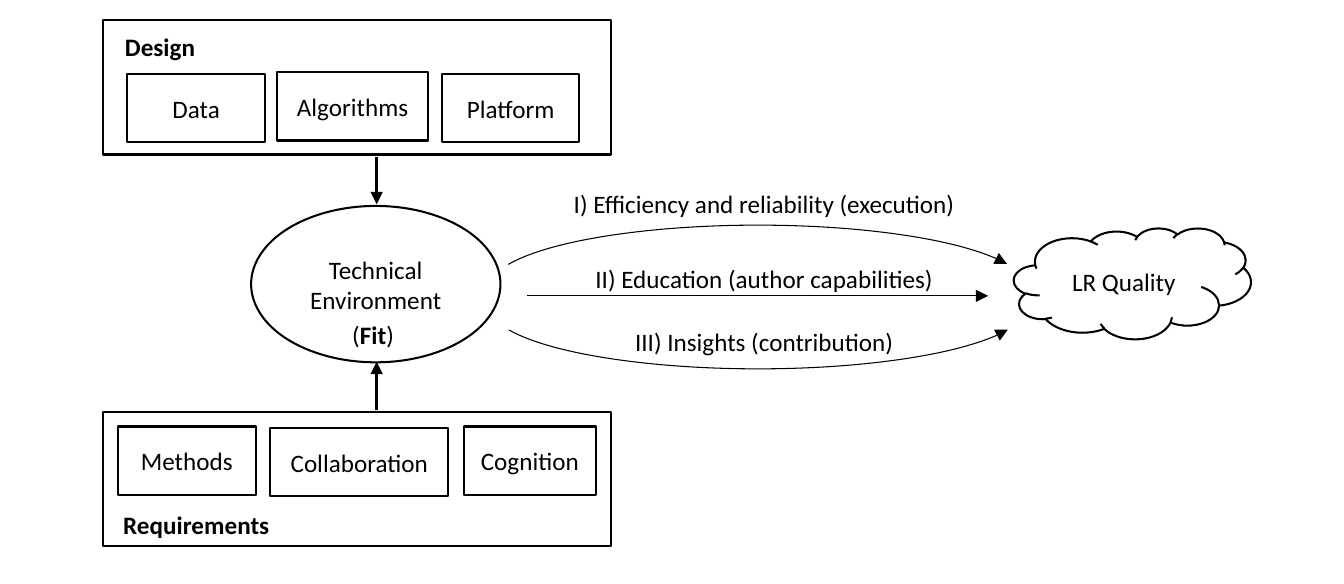
from dataclasses import dataclass

from lxml.etree import SubElement
from pptx import Presentation
from pptx.dml.color import RGBColor
from pptx.enum.shapes import MSO_CONNECTOR, MSO_SHAPE
from pptx.enum.text import MSO_ANCHOR, PP_ALIGN
from pptx.oxml.ns import qn
from pptx.util import Cm, Pt

BLACK = RGBColor(0, 0, 0)
WHITE = RGBColor(255, 255, 255)
FONT_FORMAT = {"name": "Calibri", "size": Pt(12.2)}
FRAME_FORMAT = {"word_wrap": True, "vertical_anchor": MSO_ANCHOR.MIDDLE}
CENTRED_MARGINS = {"margin_left": Cm(0.1), "margin_right": Cm(0.1)}

CM_PER_INCH = 2.54
PAGE_FORMAT = {
    "slide_width": Cm(9.06 * CM_PER_INCH),
    "slide_height": Cm(3.94 * CM_PER_INCH),
}
LABEL_HEIGHT = 0.79
BOX_HEIGHT = 1.17
PANEL_LEFT, PANEL_WIDTH, PANEL_HEIGHT = 1.77, 8.7, 2.3
PATH_LEFT, PATH_WIDTH = 8.9, 8.38
ARC_LEFT, ARC_WIDTH, ARC_HEIGHT = 8.38, 9.2, 2.13
ARC_DEGREES = (185.24, 354.65)
FIT_AXIS = 6.45


@dataclass(frozen=True)
class Node:
    left: float
    top: float
    width: float
    height: float = BOX_HEIGHT
    text: str = ""
    preset: MSO_SHAPE = MSO_SHAPE.RECTANGLE


@dataclass(frozen=True)
class Label:
    left: float
    top: float
    width: float
    runs: tuple[tuple[str, bool], ...]
    align: PP_ALIGN = PP_ALIGN.CENTER


@dataclass(frozen=True)
class Arrow:
    start: tuple[float, float]
    end: tuple[float, float]
    weight: float


@dataclass(frozen=True)
class Arc:
    top: float
    rotation: int
    arrow_end: str


OUTCOME_NODES = (
    Node(17.36, 3.91, 4.06, 1.9, "LR Quality", MSO_SHAPE.CLOUD),
    Node(4.3, 3.53, 4.27, 2.68, "Technical Environment", MSO_SHAPE.OVAL),
)
PANELS = tuple(Node(PANEL_LEFT, top, PANEL_WIDTH, PANEL_HEIGHT) for top in (0.35, 7.06))
BOXES = (
    Node(2.18, 1.27, 2.36, text="Data"),
    Node(4.75, 1.24, 2.58, text="Algorithms"),
    Node(7.57, 1.27, 2.35, text="Platform"),
    Node(2.02, 7.31, 2.36, text="Methods"),
    Node(4.63, 7.34, 3.05, text="Collaboration"),
    Node(7.95, 7.31, 2.25, text="Cognition"),
)
ARCS = (Arc(3.86, 0, "tailEnd"), Arc(4.19, 180, "headEnd"))
ARROWS = (
    Arrow((9.02, 5.07), (16.92, 5.07), 0.5),
    Arrow((FIT_AXIS, 2.69), (FIT_AXIS, 3.5), 1.5),
    Arrow((FIT_AXIS, 7.03), (FIT_AXIS, 6.2), 1.5),
)
LABELS = (
    Label(PATH_LEFT, 3.09, PATH_WIDTH, (("I) Efficiency and reliability (execution)", False),)),
    Label(PATH_LEFT, 4.38, PATH_WIDTH, (("II) Education (author capabilities)", False),)),
    Label(PATH_LEFT, 5.46, PATH_WIDTH, (("III) Insights (contribution)", False),)),
    Label(1.89, 0.4, 5.72, (("Design", True),), PP_ALIGN.LEFT),
    Label(1.86, 8.6, 5.72, (("Requirements", True),), PP_ALIGN.LEFT),
    Label(5.77, 5.33, 1.24, (("(", False), ("Fit", True), (")", False))),
)


def apply_format(target, values: dict) -> None:
    for name, value in values.items():
        setattr(target, name, value)


def set_line(shape, weight: float) -> None:
    shape.line.color.rgb = BLACK
    shape.line.width = Pt(weight)


def add_arrowhead(shape, end: str) -> None:
    SubElement(shape.line._get_or_add_ln(), qn(f"a:{end}"), type="triangle")


def write_text(frame, runs: tuple[tuple[str, bool], ...], align: PP_ALIGN) -> None:
    apply_format(frame, FRAME_FORMAT)
    if align == PP_ALIGN.CENTER:
        apply_format(frame, CENTRED_MARGINS)
    para = frame.paragraphs[0]
    para.alignment = align
    for text, bold in runs:
        span = para.add_run()
        span.text = text
        apply_format(span.font, FONT_FORMAT | {"bold": bold})
        span.font.color.rgb = BLACK


def draw_node(page, node: Node) -> None:
    box = page.shapes.add_shape(
        node.preset, Cm(node.left), Cm(node.top), Cm(node.width), Cm(node.height))
    box.shadow.inherit = False
    box.fill.solid()
    box.fill.fore_color.rgb = WHITE
    set_line(box, 1)
    if node.text:
        write_text(box.text_frame, ((node.text, False),), PP_ALIGN.CENTER)


def draw_arc(page, arc: Arc) -> None:
    curve = page.shapes.add_shape(
        MSO_SHAPE.ARC, Cm(ARC_LEFT), Cm(arc.top), Cm(ARC_WIDTH), Cm(ARC_HEIGHT))
    curve.shadow.inherit = False
    curve.fill.background()
    curve.rotation = arc.rotation
    for index, degrees in enumerate(ARC_DEGREES):
        curve.adjustments[index] = degrees * 0.6  # 60000ths of a degree, over 100000
    set_line(curve, 0.5)
    add_arrowhead(curve, arc.arrow_end)


def draw_arrow(page, arrow: Arrow) -> None:
    points = [Cm(value) for value in arrow.start + arrow.end]
    connector = page.shapes.add_connector(MSO_CONNECTOR.STRAIGHT, *points)
    set_line(connector, arrow.weight)
    add_arrowhead(connector, "tailEnd")
    SubElement(connector._element.spPr, qn("a:effectLst"))


def draw_label(page, label: Label) -> None:
    box = page.shapes.add_textbox(
        Cm(label.left), Cm(label.top), Cm(label.width), Cm(LABEL_HEIGHT))
    write_text(box.text_frame, label.runs, label.align)


def main() -> None:
    deck = Presentation()
    apply_format(deck, PAGE_FORMAT)
    page = deck.slides.add_slide(deck.slide_layouts[6])

    # Environment, quality cloud, panels and their boxes
    for node in OUTCOME_NODES + PANELS + BOXES:
        draw_node(page, node)

    # Paths and links between the parts
    for arc in ARCS:
        draw_arc(page, arc)
    for arrow in ARROWS:
        draw_arrow(page, arrow)

    # Headings and path labels
    for label in LABELS:
        draw_label(page, label)

    deck.save("out.pptx")


if __name__ == "__main__":
    main()
